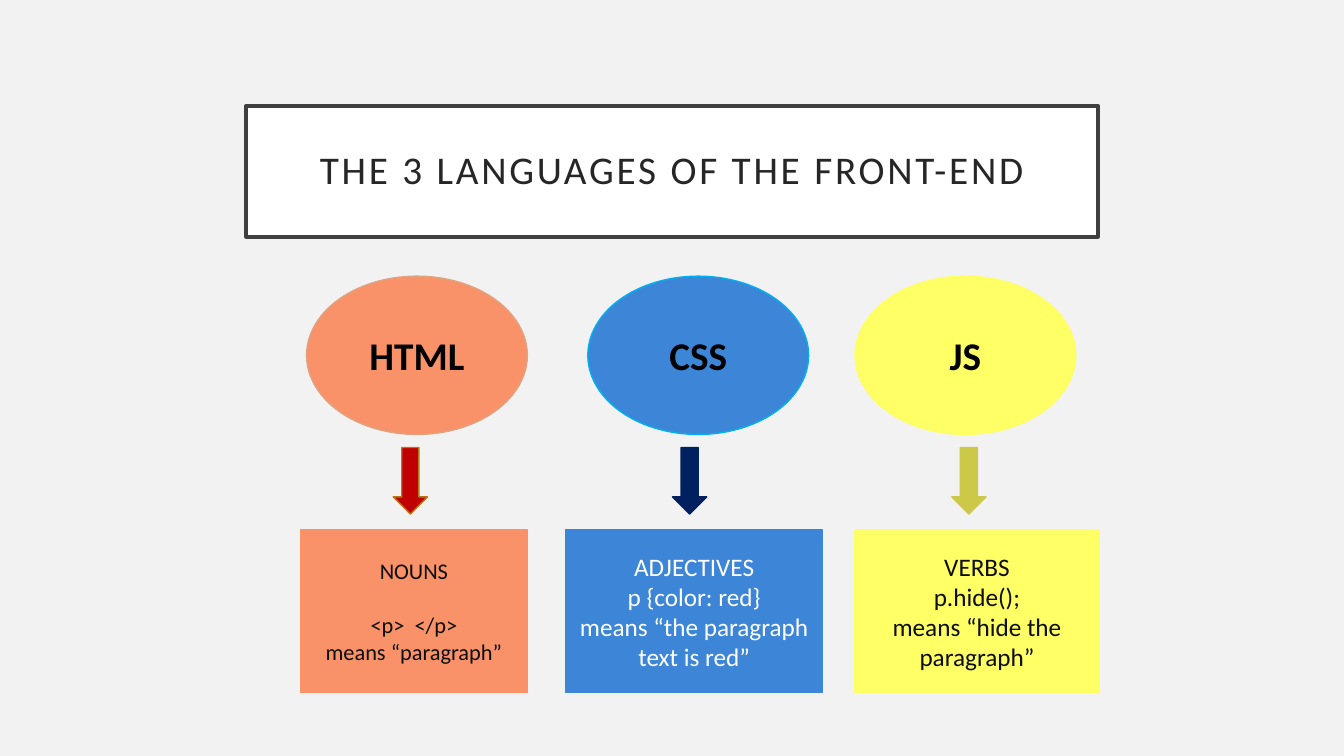
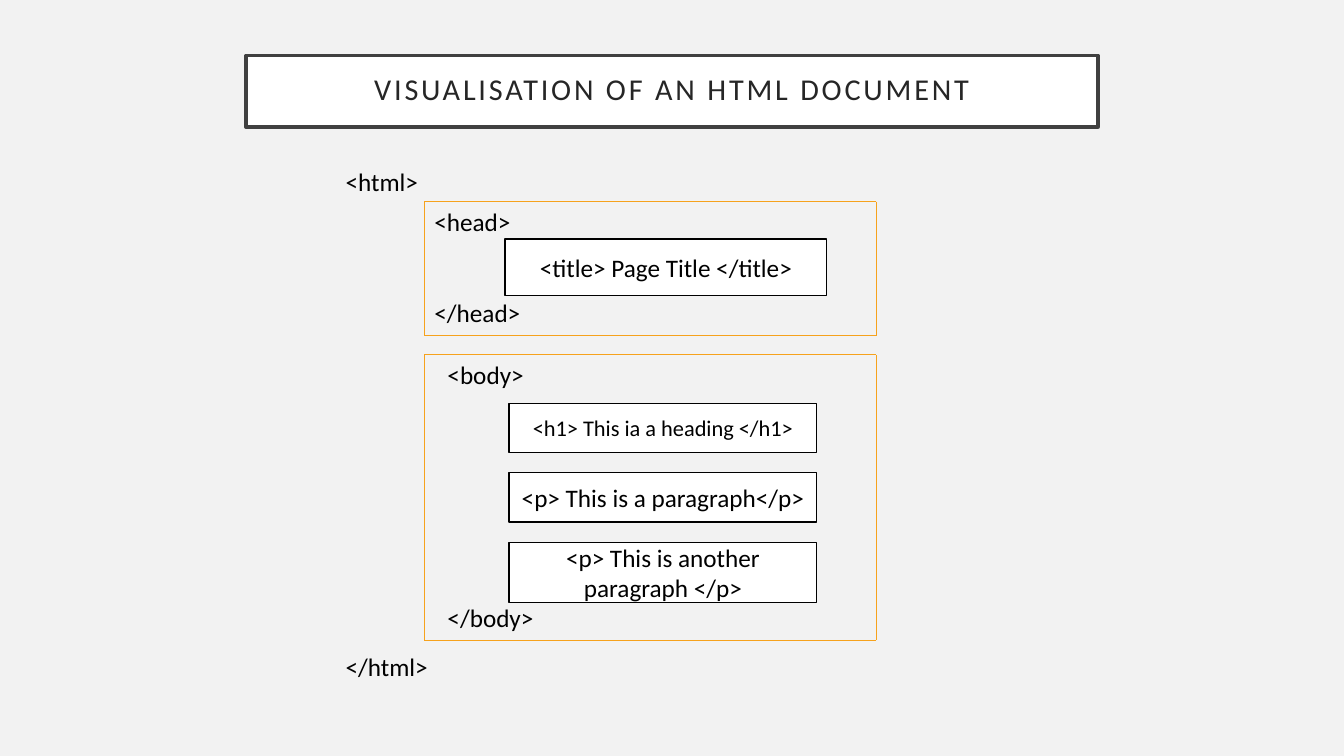
from dataclasses import dataclass

from lxml import etree
from pptx import Presentation
from pptx.dml.color import RGBColor
from pptx.enum import shapes, text
from pptx.oxml.ns import qn
from pptx.util import Inches, Pt

# Content: box is left, width; a line is (text, blank rows above)
LANGS = [
    dict(name="HTML", oval=3.04, fill="F99269", edge="E0A382",
         arrow="C00000", rim="B67815", box=(2.98, 2.25), ink="0D0D0D", size=16,
         lines=[("NOUNS", 0), ("<p>  </p>", 1), ("means “paragraph”", 0)]),
    dict(name="CSS", oval=5.83, fill="3D86D7", edge="00B0F0",
         arrow="002060", rim="002060", box=(5.61, 2.55), ink="FFFFFF", size=18,
         lines=[("ADJECTIVES", 0), ("p {color: red}", 0),
                ("means “the paragraph text is red”", 0)]),
    dict(name="JS", oval=8.48, fill="FFFF66", edge="FFFF66",
         arrow="CCC948", rim="CCC948", box=(8.48, 2.42), ink="0D0D0D", size=18,
         lines=[("VERBS", 0), ("p.hide();", 0),
                ("means “hide the paragraph”", 0)]),
]
# Tag, place of its text, rows between its two ends
TAGS = [("html", (3.33, 1.6, 7.13, 5.25), 15),
        ("head", (4.21, 2, 4.48, 1.31), 2),
        ("body", (4.34, 3.52, 4.47, 2.83), 7)]
# Top and bottom of the outlined parts
FRAMES = [(2, 3.33), (3.52, 6.35)]
NODES = [("<title> Page Title </title>", (5.01, 2.37, 3.19, 0.56), 18),
         ("<h1> This ia a heading </h1>", (5.05, 4, 3.05, 0.49), 16),
         ("<p> This is a paragraph</p>", (5.05, 4.69, 3.05, 0.49), 18),
         ("<p> This is another paragraph </p>", (5.05, 5.38, 3.05, 0.6), 18)]


@dataclass(frozen=True)
class Theme:
    font: str = "Calibri"
    back: str = "F2F2F2"
    white: str = "FFFFFF"
    black: str = "000000"
    title: str = "262626"
    border: str = "404040"
    frame: str = "F6A21D"
    big: float = 28
    small: float = 21.6
    body: float = 18
    pitch: float = 1.203  # row height per point of type


T = Theme()
KIND = shapes.MSO_SHAPE


def rgb(code):
    return RGBColor.from_string(code)


def paint(shape, fill, line, width=1):
    shape.fill.solid()
    shape.fill.fore_color.rgb = rgb(fill)
    shape.line.color.rgb = rgb(line)
    shape.line.width = Pt(width)


def write(shape, lines, size, ink, align=text.PP_ALIGN.CENTER, bold=False):
    frame = shape.text_frame
    frame.word_wrap = True
    frame.text = "\n".join(words for words, _ in lines)
    for par, (_, rows) in zip(frame.paragraphs, lines):
        par.alignment = align
        if rows:
            par.space_before = Pt(round(rows * size * T.pitch, 1))
        for run in par.runs:
            run.font.name = T.font
            run.font.size = Pt(size)
            run.font.bold = bold
            run.font.color.rgb = rgb(ink)
    return frame


def block(slide, kind, at, fill, line):
    shape = slide.shapes.add_shape(kind, *map(Inches, at))
    shape.shadow.inherit = False
    paint(shape, fill, line)
    shape.text_frame.vertical_anchor = text.MSO_ANCHOR.MIDDLE
    return shape


def rule(slide, start, end):
    line = slide.shapes.add_connector(
        shapes.MSO_CONNECTOR.STRAIGHT, *map(Inches, start + end))
    line.line.color.rgb = rgb(T.frame)
    line.line.width = Pt(0.5)
    etree.SubElement(line._element.spPr, qn("a:effectLst"))


def page(prs, words, top, height, size):
    """Add a slide with the boxed title."""
    slide = prs.slides.add_slide(prs.slide_layouts[5])
    title = slide.shapes.title
    title.left, title.top = Inches(2.44), Inches(top)
    title.width, title.height = Inches(8.45), Inches(height)
    paint(title, T.white, T.border, 2.5)
    frame = write(title, [(words, 0)], size, T.title)
    frame.auto_size = text.MSO_AUTO_SIZE.NONE
    frame.vertical_anchor = text.MSO_ANCHOR.MIDDLE
    frame.margin_left = frame.margin_right = Inches(0.2)
    frame.margin_top = frame.margin_bottom = Inches(0.2)
    par = frame.paragraphs[0]
    par.line_spacing = 0.9
    par.runs[0].font._element.set("spc", "200")
    return slide


def langs(prs):
    slide = page(prs, "THE 3 LANGUAGES OF THE FRONT-END", 1.05, 1.3, T.big)
    for i, lang in enumerate(LANGS):
        # Oval, arrow and box of one column
        oval = block(slide, KIND.OVAL, (lang["oval"], 2.74, 2.19, 1.57),
                     lang["fill"], lang["edge"])
        write(oval, [(lang["name"], 0)], T.big, T.black, bold=True)
        block(slide, KIND.DOWN_ARROW, (3.9 + 2.77 * i, 4.44, 0.34, 0.66),
              lang["arrow"], lang["rim"])
        left, width = lang["box"]
        box = block(slide, KIND.RECTANGLE, (left, 5.26, width, 1.61),
                    lang["fill"], lang["fill"])
        write(box, lang["lines"], lang["size"], lang["ink"])


def tree(prs):
    slide = page(prs, "VISUALISATION OF AN HTML DOCUMENT", 0.55, 0.71, T.small)
    # Outlines
    left, right = 4.21, 8.69
    for top, low in FRAMES:
        ends = [(left, top), (right, top), (right, low), (left, low)]
        for start, end in zip(ends, ends[1:] + ends[:1]):
            rule(slide, start, end)
    # Inner elements
    for words, at, size in NODES:
        node = block(slide, KIND.RECTANGLE, at, T.white, T.black)
        write(node, [(words, 0)], size, T.black)
    # Opening and closing tags
    for tag, at, rows in TAGS:
        box = slide.shapes.add_textbox(*map(Inches, at))
        write(box, [(f"<{tag}>", 0), (f"</{tag}>", rows)], T.body, T.black,
              text.PP_ALIGN.LEFT)


def main():
    prs = Presentation()
    prs.slide_width, prs.slide_height = Inches(13.33), Inches(7.5)
    back = prs.slide_master.background.fill
    back.solid()
    back.fore_color.rgb = rgb(T.back)
    langs(prs)
    tree(prs)
    prs.save("out.pptx")


if __name__ == "__main__":
    main()
